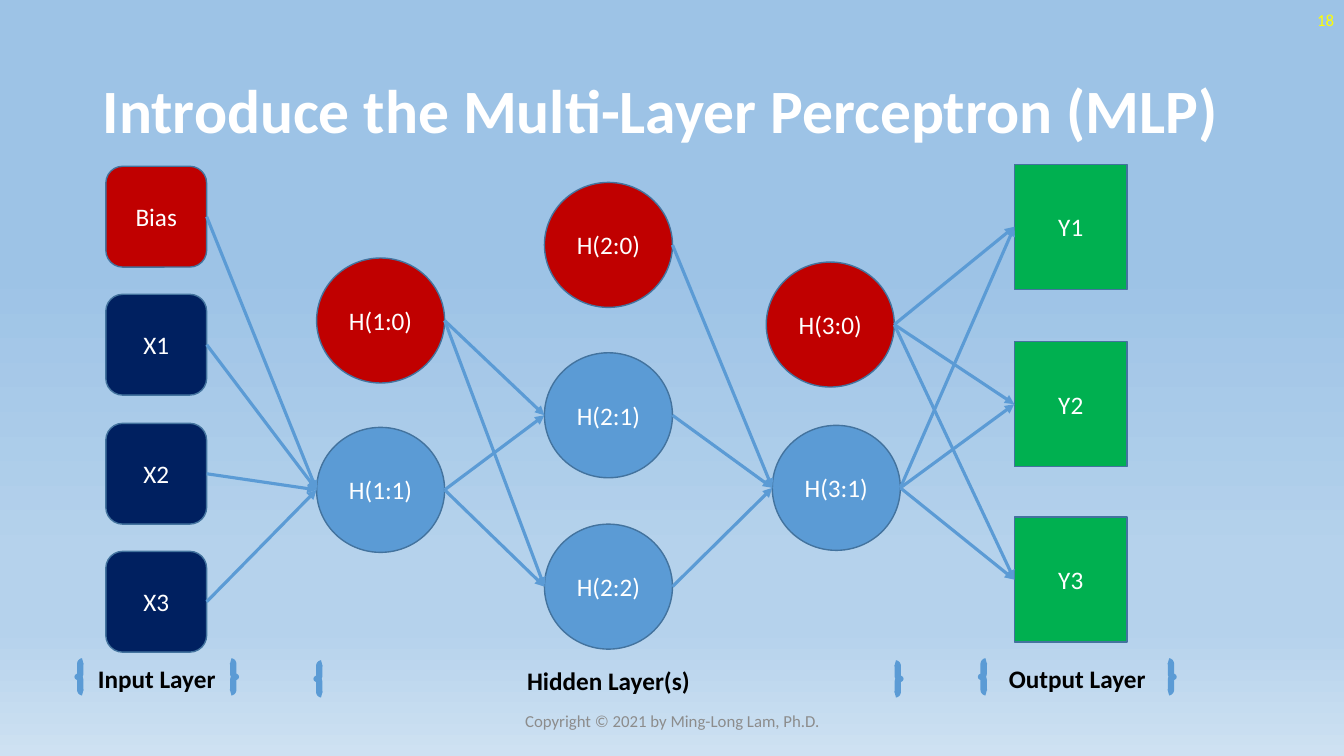
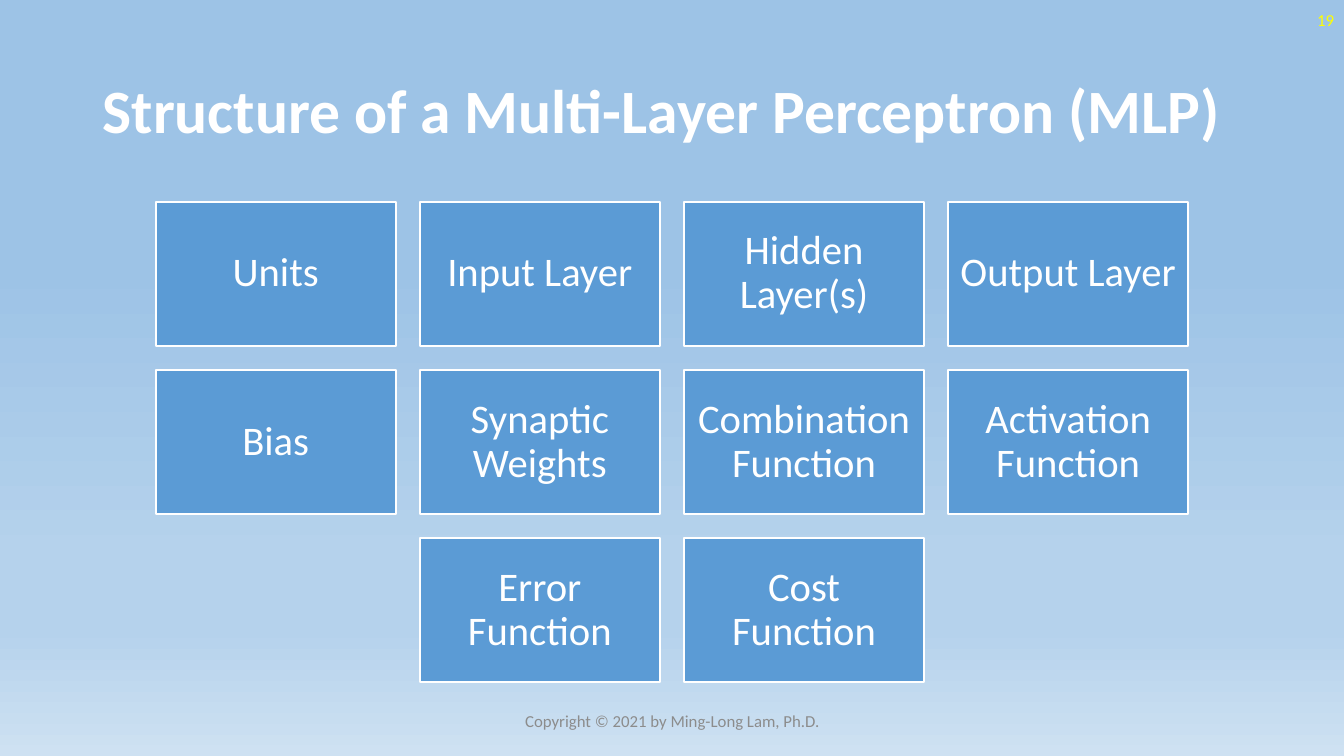
from dataclasses import dataclass
from itertools import pairwise, product

from lxml.etree import SubElement
from pptx import Presentation
from pptx.dml.color import RGBColor
from pptx.enum.shapes import MSO_CONNECTOR, MSO_SHAPE
from pptx.enum.text import MSO_ANCHOR, PP_ALIGN
from pptx.oxml.ns import qn
from pptx.util import Inches, Pt


@dataclass(frozen=True)
class Theme:
    font: str = "Calibri"
    white: str = "FFFFFF"
    black: str = "000000"
    yellow: str = "FFFF00"
    gray: str = "8C8C8C"
    blue: str = "5B9BD5"
    outline: str = "43739E"
    red: str = "C00000"
    navy: str = "002060"
    green: str = "00B050"
    background: tuple = (
        (35, "9DC3E6"), (74, "B5D2EC"), (83, "B5D2EC"), (100, "CEE1F2"))
    title_size: int = 44
    tile_size: int = 29
    label_size: int = 18
    small_size: int = 12


THEME = Theme()
SLIDE_W, SLIDE_H = 13.33, 7.5
COPYRIGHT = "Copyright © 2021 by Ming-Long Lam, Ph.D."

# Each layer: shape, left, width, height, fill, [(label, top), ...]
LAYERS = [
    (MSO_SHAPE.ROUNDED_RECTANGLE, 1.05, 1, 1, THEME.navy,
     [("Bias", 1.65), ("X1", 2.92), ("X2", 4.2), ("X3", 5.47)]),
    (MSO_SHAPE.OVAL, 3.14, 1.27, 1.24, THEME.blue,
     [("H(1:0)", 2.56), ("H(1:1)", 4.24)]),
    (MSO_SHAPE.OVAL, 5.4, 1.27, 1.24, THEME.blue,
     [("H(2:0)", 1.81), ("H(2:1)", 3.5), ("H(2:2)", 5.2)]),
    (MSO_SHAPE.OVAL, 7.63, 1.27, 1.24, THEME.blue,
     [("H(3:0)", 2.6), ("H(3:1)", 4.22)]),
    (MSO_SHAPE.RECTANGLE, 10.06, 1.12, 1.24, THEME.green,
     [("Y1", 1.63), ("Y2", 3.39), ("Y3", 5.13)]),
]
NUDGES = {"H(3:0)": -0.03, "H(3:1)": 0.03}
BRACES = [
    ("Input Layer", 0.77, 6.56, 1.57),
    ("Hidden Layer(s)", 3.14, 6.58, 5.79),
    ("Output Layer", 9.73, 6.56, 1.91),
]
TILE_ROWS = [
    ["Units", "Input Layer", "Hidden Layer(s)", "Output Layer"],
    ["Bias", "Synaptic Weights", "Combination Function", "Activation Function"],
    ["Error Function", "Cost Function"],
]


def rgb(value):
    return RGBColor.from_string(value)


def set_background(master):
    fill = master.background.fill
    fill.gradient()
    fill.gradient_angle = 270
    stops = master.element.find(".//" + qn("p:bgPr")).find(".//" + qn("a:gsLst"))
    for stop in list(stops):
        stops.remove(stop)
    for percent, color in THEME.background:
        stop = SubElement(stops, qn("a:gs"), pos=str(percent * 1000))
        SubElement(stop, qn("a:srgbClr"), val=color)


def write(sp, text, size, color, bold=False, align=PP_ALIGN.CENTER, spacing=1.0):
    tf = sp.text_frame
    p = tf.paragraphs[0]
    r = p.add_run()
    r.text = text
    formats = {
        tf: {"word_wrap": True, "vertical_anchor": MSO_ANCHOR.MIDDLE},
        p: {"alignment": align, "line_spacing": spacing},
        r.font: {"name": THEME.font, "size": Pt(size), "bold": bold},
    }
    for target, values in formats.items():
        for name, value in values.items():
            setattr(target, name, value)
    r.font.color.rgb = rgb(color)


def add_text(s, box, text, size, color, **options):
    sp = s.shapes.add_textbox(*map(Inches, box))
    write(sp, text, size, color, **options)


def add_box(s, kind, box, fill, line, width):
    """Add a preset shape; a fill of None leaves it open."""
    sp = s.shapes.add_shape(kind, *map(Inches, box))
    sp.shadow.inherit = False
    if fill:
        sp.fill.solid()
        sp.fill.fore_color.rgb = rgb(fill)
    else:
        sp.fill.background()
    sp.line.color.rgb = rgb(line)
    sp.line.width = Pt(width)
    return sp


def add_arrow(s, source, target):
    """Glue an arrow from the right of source to the left of target."""
    cxn = s.shapes.add_connector(
        MSO_CONNECTOR.STRAIGHT,
        source.left + source.width, source.top + source.height // 2,
        target.left, target.top + target.height // 2)
    cxn.line.color.rgb = rgb(THEME.blue)
    cxn.line.width = Pt(2.25)
    sp_pr = cxn.element.spPr
    SubElement(sp_pr.find(qn("a:ln")), qn("a:tailEnd"), type="triangle")
    SubElement(sp_pr, qn("a:effectLst"))
    glue = cxn.element.find(".//" + qn("p:cNvCxnSpPr"))
    # Ovals have eight connection sites, the other units four.
    for tag, sp, oval_site, site in (
            ("a:stCxn", source, 6, 3), ("a:endCxn", target, 2, 1)):
        index = oval_site if sp.auto_shape_type == MSO_SHAPE.OVAL else site
        SubElement(glue, qn(tag), id=str(sp.shape_id), idx=str(index))


def add_slide(prs, title, number):
    s = prs.slides.add_slide(prs.slide_layouts[6])
    add_text(s, (0.92, 0.4, 11.5, 1.45), title, THEME.title_size, THEME.white,
             bold=True, align=PP_ALIGN.LEFT, spacing=0.9)
    add_text(s, (10.33, 0, 3, 0.4), str(number), THEME.small_size,
             THEME.yellow, align=PP_ALIGN.RIGHT)
    add_text(s, (4.42, 6.95, 4.5, 0.4), COPYRIGHT, THEME.small_size, THEME.gray)
    return s


def add_layer(s, kind, left, width, height, fill, units):
    """Return (shape, is_bias) for every unit of the layer."""
    nodes = []
    for label, top in units:
        is_bias = label == "Bias" or label.endswith(":0)")
        box = (left + NUDGES.get(label, 0), top, width, height)
        sp = add_box(s, kind, box, THEME.red if is_bias else fill,
                     THEME.outline, 1)
        write(sp, label, THEME.label_size, THEME.white)
        nodes.append((sp, is_bias))
    return nodes


def add_network(s):
    """Link each unit to every unit but the bias of the next layer."""
    layers = [add_layer(s, *layer) for layer in LAYERS]
    for sources, targets in pairwise(layers):
        for (source, _), (target, is_bias) in product(sources, targets):
            if not is_bias:
                add_arrow(s, source, target)


def add_brace(s, label, left, top, width):
    sp = add_box(s, MSO_SHAPE.DOUBLE_BRACE, (left, top, width, 0.31),
                 None, THEME.blue, 4.5)
    write(sp, label, THEME.label_size, THEME.black, bold=True)


def add_tiles(s, rows, top=2, width=2.38, height=1.43, gap=0.24):
    """Lay out rows of tiles, each row centred on the slide."""
    for i, row in enumerate(rows):
        left = (SLIDE_W - len(row) * (width + gap) + gap) / 2
        for j, label in enumerate(row):
            box = (left + j * (width + gap), top + i * (height + gap),
                   width, height)
            sp = add_box(s, MSO_SHAPE.RECTANGLE, box, THEME.blue, THEME.white, 1.5)
            write(sp, label, THEME.tile_size, THEME.white, spacing=0.9)
            for side in ("left", "top", "right", "bottom"):
                setattr(sp.text_frame, f"margin_{side}", Inches(0.12))


def main():
    prs = Presentation()
    prs.slide_width, prs.slide_height = Inches(SLIDE_W), Inches(SLIDE_H)
    set_background(prs.slide_master)

    s = add_slide(prs, "Introduce the Multi-Layer Perceptron (MLP)", 18)
    add_network(s)
    for brace in BRACES:
        add_brace(s, *brace)

    s = add_slide(prs, "Structure of a Multi-Layer Perceptron (MLP)", 19)
    add_tiles(s, TILE_ROWS)

    prs.save("out.pptx")


if __name__ == "__main__":
    main()
